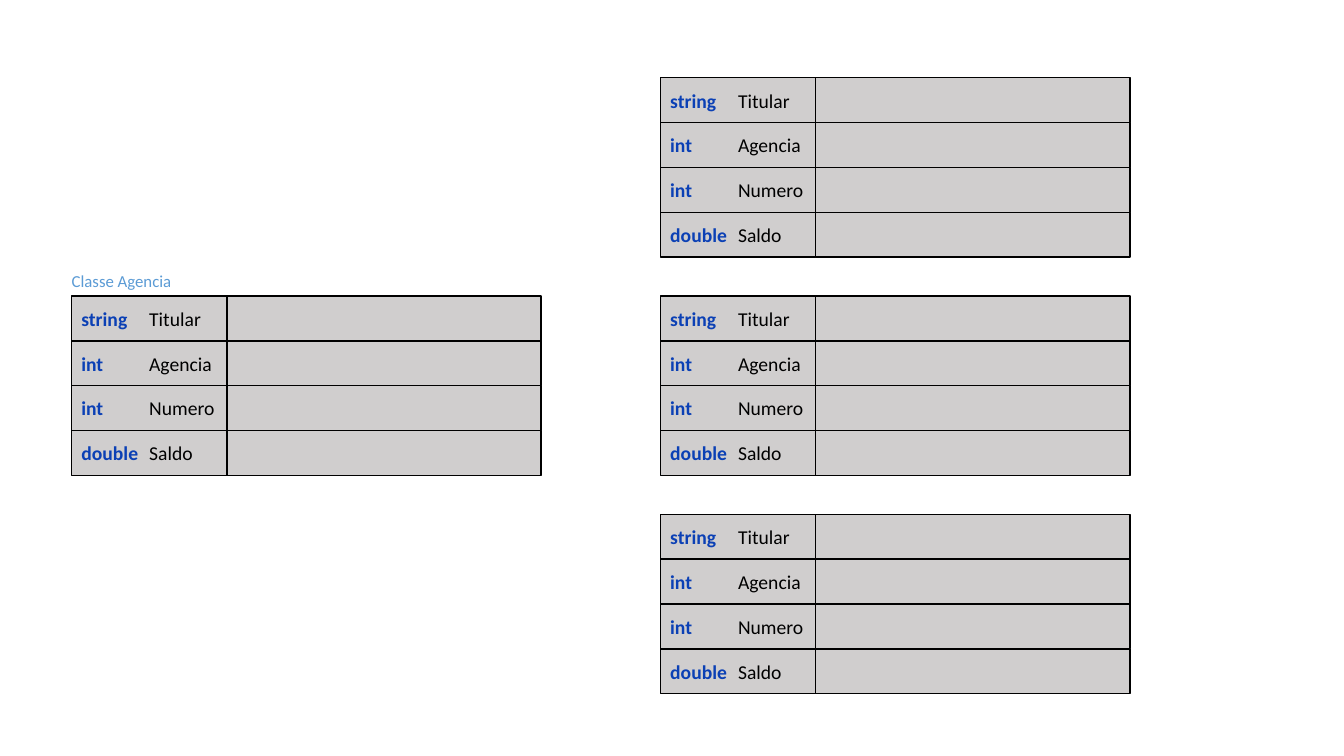
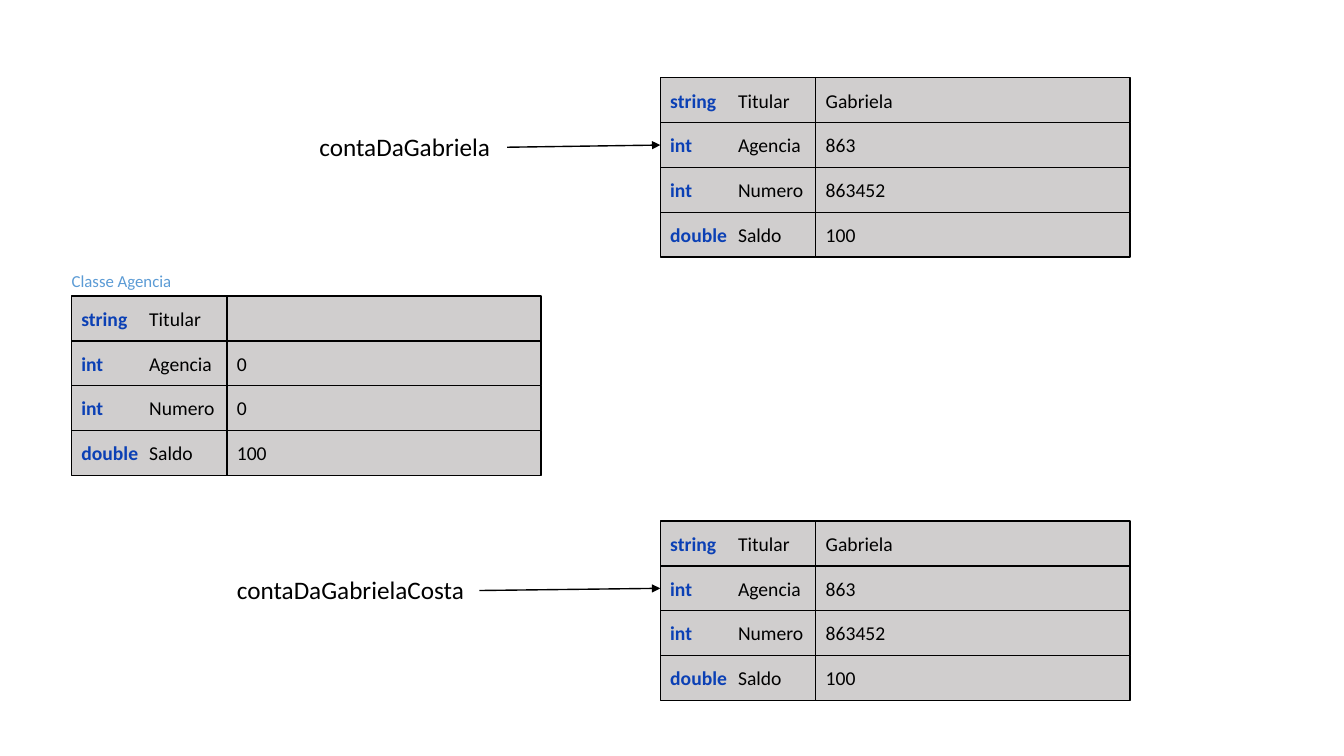
from dataclasses import dataclass

from lxml import etree
from pptx import Presentation
from pptx.dml.color import RGBColor
from pptx.enum.shapes import MSO_CONNECTOR, MSO_SHAPE
from pptx.enum.text import MSO_ANCHOR, MSO_AUTO_SIZE, PP_ALIGN
from pptx.oxml.ns import qn
from pptx.util import Cm, Pt

RECT = MSO_SHAPE.RECTANGLE
LINE = MSO_CONNECTOR.STRAIGHT
LEFT, CENTER = PP_ALIGN.LEFT, PP_ALIGN.CENTER
MIDDLE = MSO_ANCHOR.MIDDLE
GROW = MSO_AUTO_SIZE.SHAPE_TO_FIT_TEXT


# Colours, type sizes and line width
@dataclass(frozen=True)
class Theme:
    font: str = "Calibri"
    ink: RGBColor = RGBColor(0x00, 0x00, 0x00)
    key: RGBColor = RGBColor(0x0B, 0x40, 0xB5)
    label: RGBColor = RGBColor(0x5B, 0x9B, 0xD5)
    cell: RGBColor = RGBColor(0xD0, 0xCE, 0xCE)
    small: int = 12
    body: int = 14
    large: int = 18
    stroke: int = 1


# Record layout, in centimetres
ROW, KEY_W, VAL_W = 1.13, 3.92, 7.92
CLASS_X, CLASS_Y = 1.8, 7.46
OBJ_X, OBJ_Y, STEP = 16.64, 1.96, 5.5
FIELDS = [("string", "Titular"), ("int", "Agencia"),
          ("int", "Numero"), ("double", "Saldo")]
EMPTY = [""] * len(FIELDS)


def apply(target, values):
    for name, value in values.items():
        setattr(target, name, value)


class Deck:
    def __init__(self, theme):
        self.theme = theme
        self.show = Presentation()
        apply(self.show, {"slide_width": Cm(33.87), "slide_height": Cm(19.05)})
        self.slide = None

    def page(self):
        self.slide = self.show.slides.add_slide(self.show.slide_layouts[6])

    def fill_text(self, frame, runs, size, align=LEFT):
        para = frame.paragraphs[0]
        para.alignment = align
        for text, color, bold in runs:
            run = para.add_run()
            run.text = text
            apply(run.font, {"name": self.theme.font, "size": Pt(size),
                             "bold": bold})
            run.font.color.rgb = color

    def cell(self, x, y, width, runs):
        box = self.slide.shapes.add_shape(RECT, Cm(x), Cm(y), Cm(width), Cm(ROW))
        box.shadow.inherit = False
        box.fill.solid()
        box.fill.fore_color.rgb = self.theme.cell
        box.line.color.rgb = self.theme.ink
        box.line.width = Pt(self.theme.stroke)
        apply(box.text_frame, {"vertical_anchor": MIDDLE, "word_wrap": True})
        # Two text columns: the field name flows into the second
        box.text_frame._txBody.bodyPr.set("numCol", "2")
        self.fill_text(box.text_frame, runs, self.theme.body)

    def record(self, x, y, values):
        ink, key = self.theme.ink, self.theme.key
        for row, ((kind, name), value) in enumerate(zip(FIELDS, values)):
            top = y + row * ROW
            self.cell(x, top, KEY_W, [(kind + " ", key, True), (name, ink, False)])
            self.cell(x + KEY_W, top, VAL_W, [(value, ink, False)] if value else [])

    def text(self, x, y, width, height, words, size, color, align=LEFT, wrap=True):
        box = self.slide.shapes.add_textbox(Cm(x), Cm(y), Cm(width), Cm(height))
        apply(box.text_frame, {"word_wrap": wrap, "auto_size": GROW})
        self.fill_text(box.text_frame, [(words, color, False)], size, align)

    def arrow(self, x1, y1, x2, y2):
        link = self.slide.shapes.add_connector(LINE, Cm(x1), Cm(y1), Cm(x2), Cm(y2))
        link.line.color.rgb = self.theme.ink
        link.line.width = Pt(self.theme.stroke)
        props = link._element.spPr
        etree.SubElement(props.find(qn("a:ln")), qn("a:tailEnd"), type="triangle")
        etree.SubElement(props, qn("a:effectLst"))

    def model(self, values):
        self.record(CLASS_X, CLASS_Y, values)
        self.text(1.53, 6.7, 3.07, 0.77, "Classe Agencia", self.theme.small,
                  self.theme.label, CENTER, False)

    def account(self, y, values, name, x, width):
        self.record(OBJ_X, y, values)
        self.text(x, y + 1.23, width, 1.02, name, self.theme.large, self.theme.ink)
        self.arrow(x + width, y + 1.75, OBJ_X, y + 1.5 * ROW)


deck = Deck(Theme())

# Slide 1: the class and three empty objects
deck.page()
deck.model(EMPTY)
for place in range(3):
    deck.record(OBJ_X, OBJ_Y + place * STEP, EMPTY)

# Slide 2: two variables, each with its own object
deck.page()
deck.model(["", "0", "0", "100"])
DATA = ["Gabriela", "863", "863452", "100"]
for top, name, left, width in [(OBJ_Y, "contaDaGabriela", 7.8, 4.98),
                               (13.13, "contaDaGabrielaCosta", 5.72, 6.36)]:
    deck.account(top, DATA, name, left, width)

deck.show.save("out.pptx")
